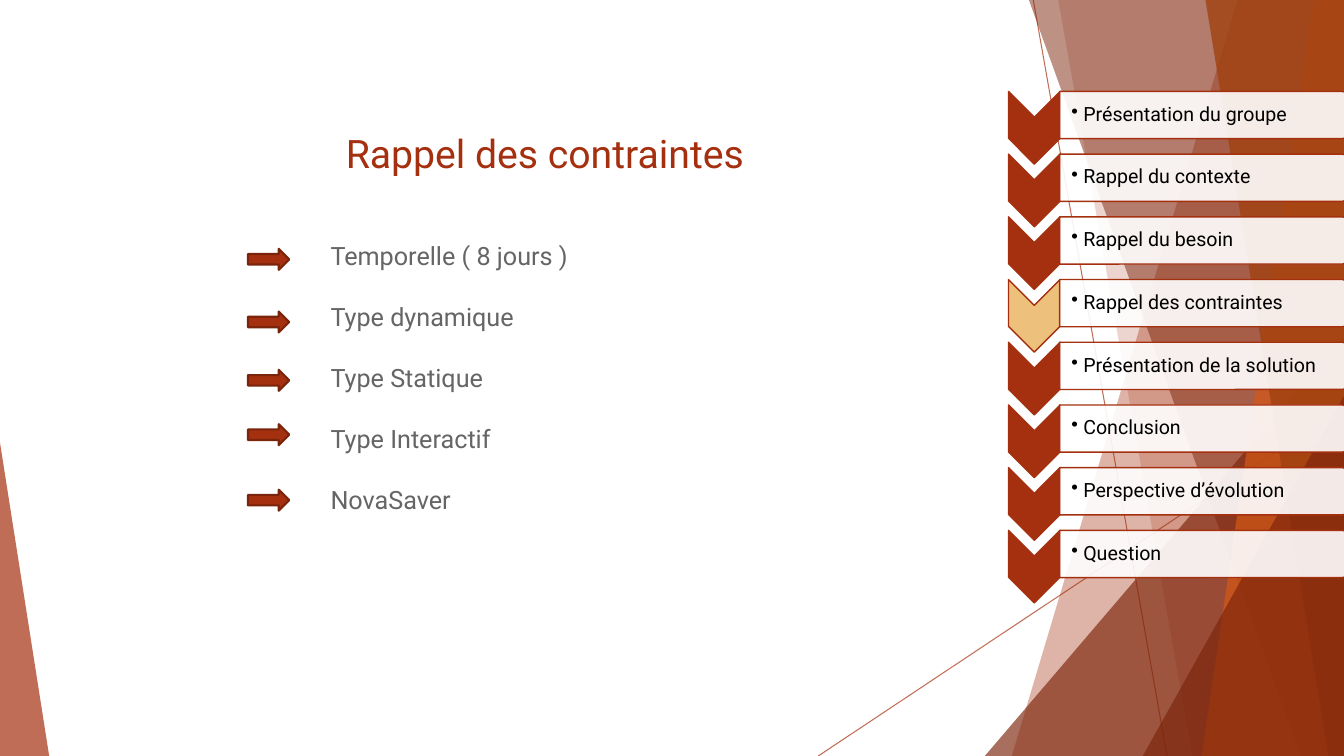
"""Build the slide that recalls the project constraints beside the agenda."""
from dataclasses import dataclass

from lxml import etree
from pptx import Presentation
from pptx.dml.color import RGBColor
from pptx.enum.shapes import MSO_CONNECTOR, MSO_SHAPE
from pptx.enum.text import MSO_ANCHOR, PP_ALIGN
from pptx.oxml.ns import qn
from pptx.util import Cm, Pt

STRAIGHT = MSO_CONNECTOR.STRAIGHT
TRIANGLE = MSO_SHAPE.ISOSCELES_TRIANGLE
CHEVRON = MSO_SHAPE.CHEVRON
BAR = MSO_SHAPE.ROUND_2_SAME_RECTANGLE
ARROW = MSO_SHAPE.RIGHT_ARROW
TOP, MIDDLE = MSO_ANCHOR.TOP, MSO_ANCHOR.MIDDLE
LEFT, CENTER = PP_ALIGN.LEFT, PP_ALIGN.CENTER

RED = RGBColor(0xA5, 0x30, 0x0F)
DARK_RED = RGBColor(0x7C, 0x24, 0x0B)
ARROW_EDGE = RGBColor(0x7A, 0x24, 0x0B)
ORANGE = RGBColor(0xD5, 0x58, 0x16)
BROWN = RGBColor(0xA0, 0x42, 0x10)
SAND = RGBColor(0xED, 0xC1, 0x7C)
WHITE = RGBColor(0xFF, 0xFF, 0xFF)
BLACK = RGBColor(0x00, 0x00, 0x00)
GRAY = RGBColor(0x65, 0x65, 0x65)

FONT = "Roboto"
WIDTH, HEIGHT = 33.87, 19.05
AGENDA_PITCH = 1.58
DEFAULT_INSETS = (0.25, 0.13, 0.25, 0.13)
AGENDA_INSETS = (0.28, 0.03, 0.03, 0.03)


@dataclass(frozen=True)
class Band:
    """Full-height panel between a slanted left edge and the slide's right edge."""
    top_x: float
    bottom_x: float
    color: RGBColor
    opacity: int


@dataclass(frozen=True)
class Wedge:
    """Triangle standing on the slide's bottom edge."""
    left: float
    top: float
    width: float
    peak: float
    color: RGBColor
    opacity: int


@dataclass(frozen=True)
class Constraint:
    """Line of the list with the top of its arrow."""
    text: str
    arrow_top: float


RAYS = [(26.04, 0, 29.41, HEIGHT), (WIDTH, 10.24, 20.62, HEIGHT)]
FACETS = [
    Band(31.19, 25.5, RED, 36),
    Band(26.67, 30.05, RED, 20),
    Wedge(24.82, 8.46, 9.05, 1, DARK_RED, 66),
    Band(25.93, 32.79, DARK_RED, 50),
    Band(33.1, 30.28, ORANGE, 70),
    Band(30.38, 33.48, BROWN, 80),
    Wedge(28.8, 9.98, 5.07, 1, DARK_RED, 66),
    Wedge(0, 11.15, 1.24, 0, RED, 70),
]
CURRENT_TOPIC = "Rappel des contraintes"
AGENDA = [
    "Présentation du groupe", "Rappel du contexte", "Rappel du besoin",
    CURRENT_TOPIC, "Présentation de la solution", "Conclusion",
    "Perspective d’évolution", "Question",
]
CONSTRAINTS = [
    Constraint("Temporelle ( 8 jours )", 6.27),
    Constraint("Type dynamique", 7.85),
    Constraint("Type Statique", 9.32),
    Constraint("Type Interactif", 10.69),
    Constraint("NovaSaver", 12.34),
]


def set_opacity(element, percent: int) -> None:
    """Make the first colour under the element partly transparent."""
    color = next(element.iter(qn("a:srgbClr")))
    etree.SubElement(color, qn("a:alpha")).set("val", str(percent * 1000))


def paint(shape, fill: RGBColor, opacity: int = 100,
          line: RGBColor | None = None, line_width: float = 1) -> None:
    """Give a shape its fill and outline, without shadow."""
    shape.shadow.inherit = False
    shape.fill.solid()
    shape.fill.fore_color.rgb = fill
    if opacity < 100:
        set_opacity(shape.fill._xPr.find(qn("a:solidFill")), opacity)
    if line is None:
        shape.line.fill.background()
    else:
        shape.line.color.rgb = line
        shape.line.width = Pt(line_width)


def add_preset(slide, kind, left: float, top: float, width: float, height: float):
    """Add a preset shape measured in centimetres."""
    return slide.shapes.add_shape(kind, Cm(left), Cm(top), Cm(width), Cm(height))


def add_ray(slide, x1: float, y1: float, x2: float, y2: float) -> None:
    """Draw a thin translucent line of the backdrop."""
    ray = slide.shapes.add_connector(STRAIGHT, Cm(x1), Cm(y1), Cm(x2), Cm(y2))
    ray.line.color.rgb = RED
    ray.line.width = Pt(0.75)
    properties = ray._element.spPr
    set_opacity(properties, 70)
    etree.SubElement(properties, qn("a:effectLst"))


def add_facet(slide, facet: Band | Wedge) -> None:
    """Draw one translucent plane of the backdrop."""
    if isinstance(facet, Wedge):
        shape = add_preset(slide, TRIANGLE, facet.left, facet.top,
                           facet.width, HEIGHT - facet.top)
        shape.adjustments[0] = facet.peak
    else:
        builder = slide.shapes.build_freeform(Cm(facet.top_x), 0)
        corners = [(WIDTH, 0), (WIDTH, HEIGHT), (facet.bottom_x, HEIGHT)]
        builder.add_line_segments([(Cm(x), Cm(y)) for x, y in corners])
        shape = builder.convert_to_shape()
    paint(shape, facet.color, facet.opacity)


def add_text(slide, text: str, left: float, top: float, width: float, height: float,
             *, size: float, color: RGBColor, align=LEFT, anchor=TOP,
             insets: tuple = DEFAULT_INSETS, space_after: float = 0,
             line_spacing: float = 1, bullet: bool = False) -> None:
    """Add a text box with one paragraph for each line of the text."""
    box = slide.shapes.add_textbox(Cm(left), Cm(top), Cm(width), Cm(height))
    frame = box.text_frame
    frame.word_wrap = True
    frame.vertical_anchor = anchor
    (frame.margin_left, frame.margin_top,
     frame.margin_right, frame.margin_bottom) = map(Cm, insets)
    frame.text = text
    for paragraph in frame.paragraphs:
        paragraph.alignment = align
        paragraph.space_after = Pt(space_after)
        paragraph.line_spacing = line_spacing
        font = paragraph.runs[0].font
        font.name, font.size, font.color.rgb = FONT, Pt(size), color
        if bullet:
            properties = paragraph._p.get_or_add_pPr()
            properties.set("marL", str(Cm(0.3)))
            properties.set("indent", str(-Cm(0.3)))
            etree.SubElement(properties, qn("a:buChar")).set("char", "•")


def add_agenda_row(slide, index: int, topic: str) -> None:
    """Draw a chevron, its bar and its topic."""
    offset = index * AGENDA_PITCH
    chevron = add_preset(slide, CHEVRON, 25.15, 2.57 + offset, 1.83, 1.3)
    paint(chevron, SAND if topic == CURRENT_TOPIC else RED, line=RED)
    bar = add_preset(slide, BAR, 29.77, -0.76 + offset, 1.19, 7.32)
    paint(bar, WHITE, 90, line=RED)
    chevron.rotation = bar.rotation = 90
    add_text(slide, topic, 26.72, 2.36 + offset, 7.26, 1.07, size=14, color=BLACK,
             anchor=MIDDLE, insets=AGENDA_INSETS, line_spacing=0.9, bullet=True)


def main() -> None:
    """Compose and save the slide."""
    presentation = Presentation()
    presentation.slide_width, presentation.slide_height = Cm(WIDTH), Cm(HEIGHT)
    slide = presentation.slides.add_slide(presentation.slide_layouts[6])
    for ray in RAYS:
        add_ray(slide, *ray)
    for facet in FACETS:
        add_facet(slide, facet)
    for index, topic in enumerate(AGENDA):
        add_agenda_row(slide, index, topic)
    add_text(slide, CURRENT_TOPIC, 5.21, 3.12, 17.04, 1.45,
             size=28, color=RED, align=CENTER)
    add_text(slide, "\n".join(item.text for item in CONSTRAINTS),
             8.08, 5.92, 20.88, 7.95, size=18, color=GRAY, space_after=22)
    for item in CONSTRAINTS:
        arrow = add_preset(slide, ARROW, 6.25, item.arrow_top, 1.04, 0.53)
        paint(arrow, RED, line=ARROW_EDGE, line_width=1.5)
    presentation.save("out.pptx")


if __name__ == "__main__":
    main()
